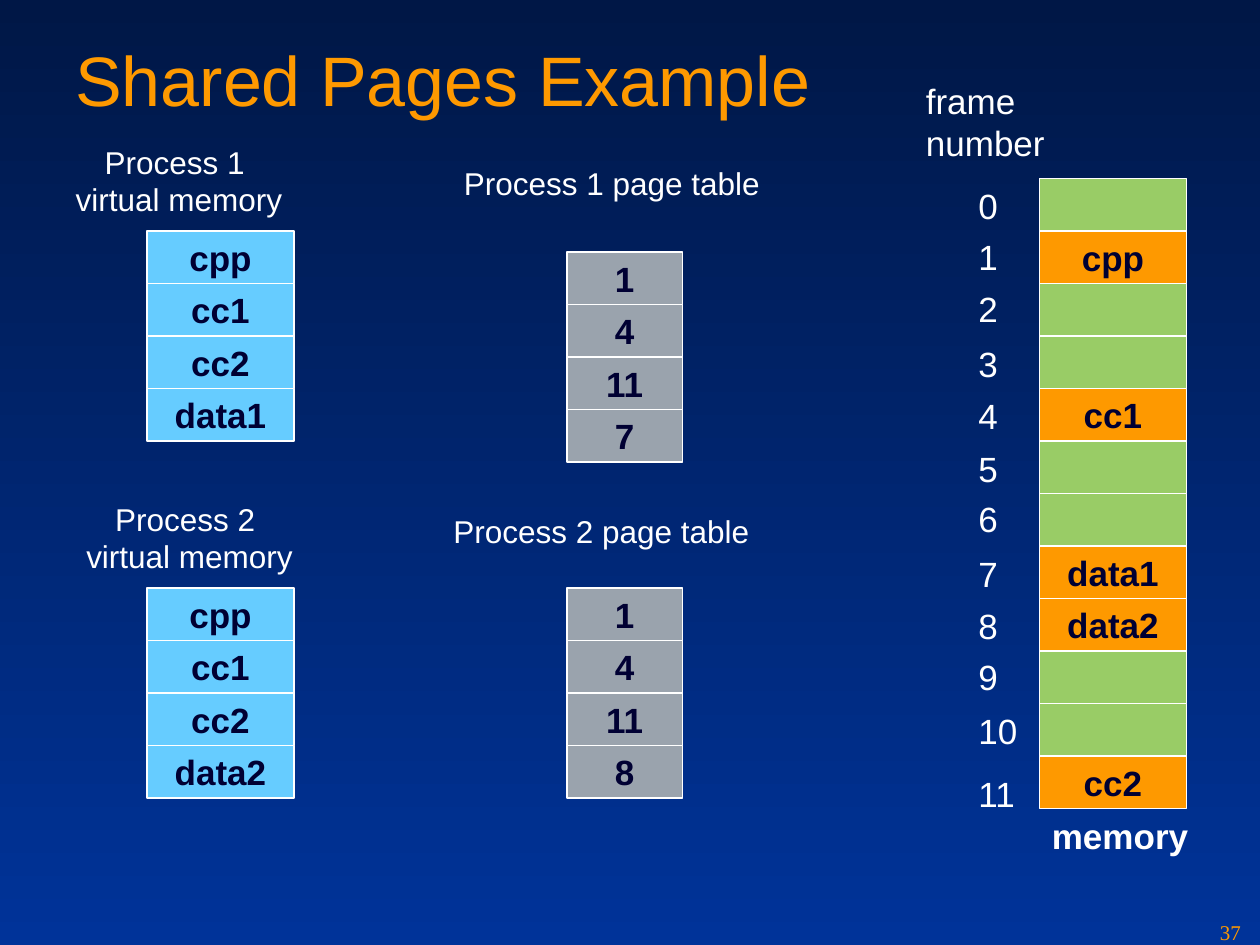
import dataclasses

import pptx
import pptx.dml.color
import pptx.enum.shapes
import pptx.enum.text
import pptx.util

SCALE = 7620
ROW = 50
ALIGN = pptx.enum.text.PP_ALIGN
AUTO_SIZE = pptx.enum.text.MSO_AUTO_SIZE


@dataclasses.dataclass(frozen=True)
class Theme:
    background: tuple = ("001746", "003399")
    accent: str = "FE9900"
    light: str = "FFFFFF"
    dark: str = "000033"
    free: str = "99CC66"
    virtual: str = "66CCFF"
    table: str = "9AA3AD"
    font: str = "Arial"
    number_font: str = "Times New Roman"
    title: int = 40
    body: int = 20
    caption: int = 18
    number: int = 12


THEME = Theme()


def px(length):
    return pptx.util.Emu(length * SCALE)


def rgb(value):
    return pptx.dml.color.RGBColor.from_string(value)


def write(shape, text, size, color, font=THEME.font, bold=False, align=ALIGN.LEFT):
    para = shape.text_frame.paragraphs[0]
    para.text = text
    para.alignment = align
    para.font.name = font
    para.font.size = pptx.util.Pt(size)
    para.font.bold = bold
    para.font.color.rgb = rgb(color)


def add_text(page, box, text, size, color, wrap=False, **style):
    shape = page.shapes.add_textbox(*map(px, box))
    shape.text_frame.word_wrap = wrap
    shape.text_frame.auto_size = AUTO_SIZE.NONE if wrap else AUTO_SIZE.SHAPE_TO_FIT_TEXT
    write(shape, text, size, color, **style)


def add_cell(page, box, text, fill):
    cell = page.shapes.add_shape(pptx.enum.shapes.MSO_SHAPE.RECTANGLE, *map(px, box))
    cell.shadow.inherit = False
    cell.fill.solid()
    cell.fill.fore_color.rgb = rgb(fill)
    cell.line.color.rgb = rgb(THEME.light)
    cell.line.width = pptx.util.Pt(0.75)
    if text:
        cell.text_frame.word_wrap = False
        cell.text_frame.vertical_anchor = pptx.enum.text.MSO_ANCHOR.MIDDLE
        write(cell, text, THEME.body, THEME.dark, bold=True, align=ALIGN.CENTER)


def add_column(page, box, entries, fill, empty_fill=None):
    left, top, width, height = box
    row_height = height // len(entries)
    for row, entry in enumerate(entries):
        cell_box = (left, top + row * row_height, width, row_height)
        add_cell(page, cell_box, entry, fill if entry else empty_fill)


def add_virtual_memory(page, box, number, segments, caption_offset):
    left, top = box[:2]
    caption_box = (left + caption_offset, top - 90, 221, 84)
    add_text(page, caption_box, f"Process {number} \vvirtual memory",
             THEME.caption, THEME.light, align=ALIGN.CENTER)
    add_column(page, box, segments, THEME.virtual)


def add_page_table(page, box, number, frames, caption_offset):
    left, top = box[:2]
    caption_box = (left + caption_offset[0], top + caption_offset[1], 306, 48)
    add_text(page, caption_box, f"Process {number} page table",
             THEME.caption, THEME.light)
    add_column(page, box, frames, THEME.table)


def add_physical_memory(page, box, frame_count, used, nudges):
    left, top, width, height = box
    add_column(page, box, [used.get(frame, "") for frame in range(frame_count)],
               THEME.accent, THEME.free)
    add_text(page, (left, top + height, 154, 53), "memory",
             THEME.body, THEME.light, bold=True)
    add_text(page, (left - 120, top - 100, 137, 92), "frame\vnumber",
             THEME.body, THEME.light)
    for frame in range(frame_count):
        label_top = top + frame * height // frame_count + nudges.get(frame, 0)
        label_width = 42 if frame < 10 else 61
        add_text(page, (left - 70, label_top, label_width, 53), str(frame),
                 THEME.body, THEME.light)


def paint_background(page):
    fill = page.background.fill
    fill.gradient()
    fill.gradient_angle = 270
    for stop, color in zip(fill.gradient_stops, THEME.background):
        stop.color.rgb = rgb(color)


def main():
    deck = pptx.Presentation()
    deck.slide_width, deck.slide_height = px(1200), px(900)
    page = deck.slides.add_slide(deck.slide_layouts[6])
    paint_background(page)
    add_text(page, (60, 29, 1080, 150), "Shared Pages Example",
             THEME.title, THEME.accent, wrap=True)
    add_virtual_memory(page, (140, 220, 140, 4 * ROW), 1,
                       ["cpp", "cc1", "cc2", "data1"], -80)
    add_virtual_memory(page, (140, 560, 140, 4 * ROW), 2,
                       ["cpp", "cc1", "cc2", "data2"], -70)
    add_page_table(page, (540, 240, 110, 4 * ROW), 1, ["1", "4", "11", "7"], (-110, -90))
    add_page_table(page, (540, 560, 110, 4 * ROW), 2, ["1", "4", "11", "8"], (-120, -78))
    add_physical_memory(page, (990, 170, 140, 12 * ROW), 12,
                        {1: "cpp", 4: "cc1", 7: "data1", 8: "data2", 11: "cc2"},
                        {1: -2, 2: -2, 6: -2, 9: -2, 11: 10})
    add_text(page, (1150, 870, 50, 30), "37", THEME.number, THEME.accent,
             wrap=True, font=THEME.number_font)
    deck.save("out.pptx")


if __name__ == "__main__":
    main()
